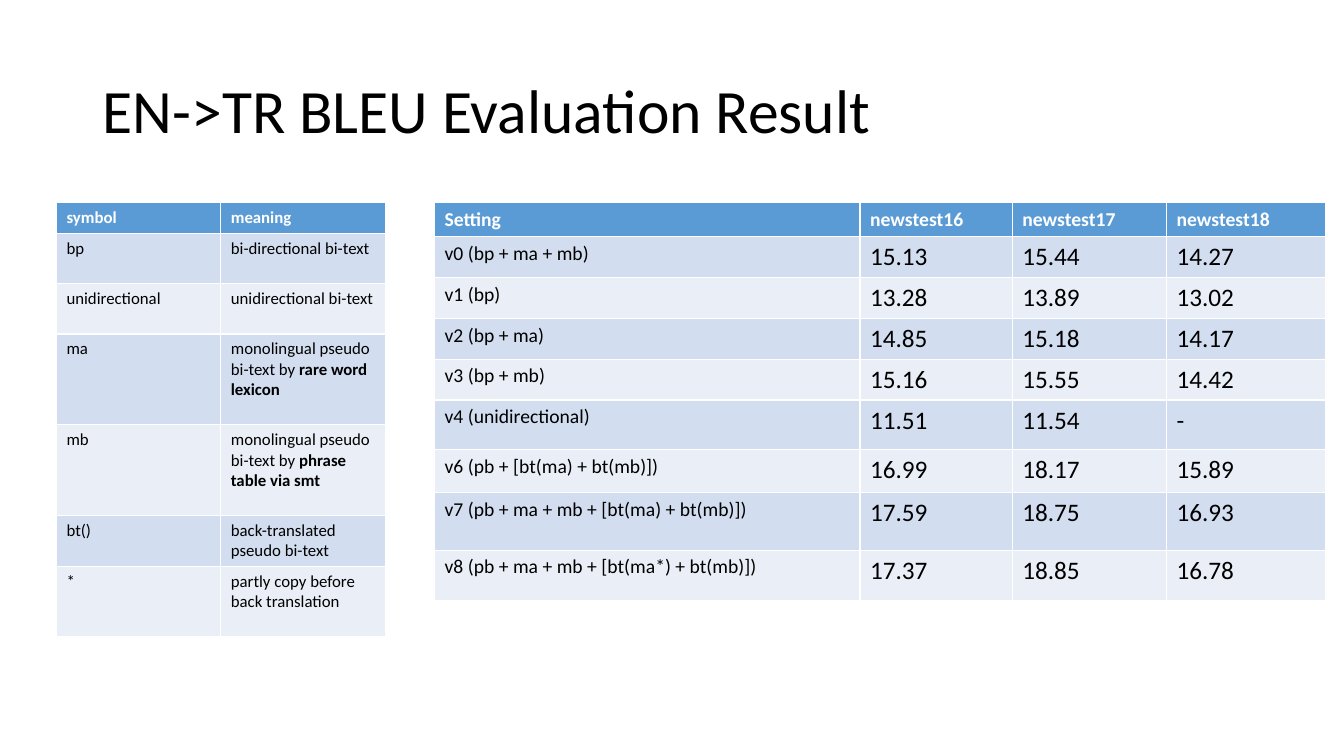
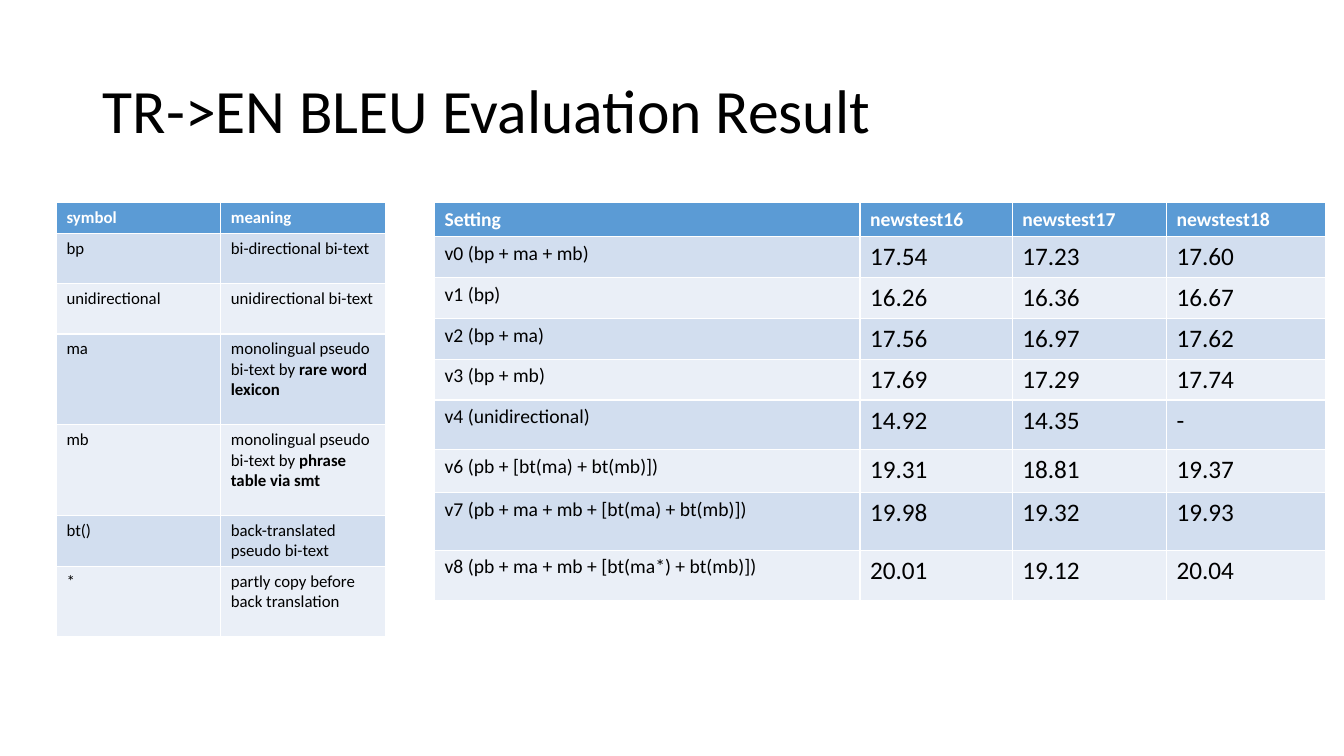
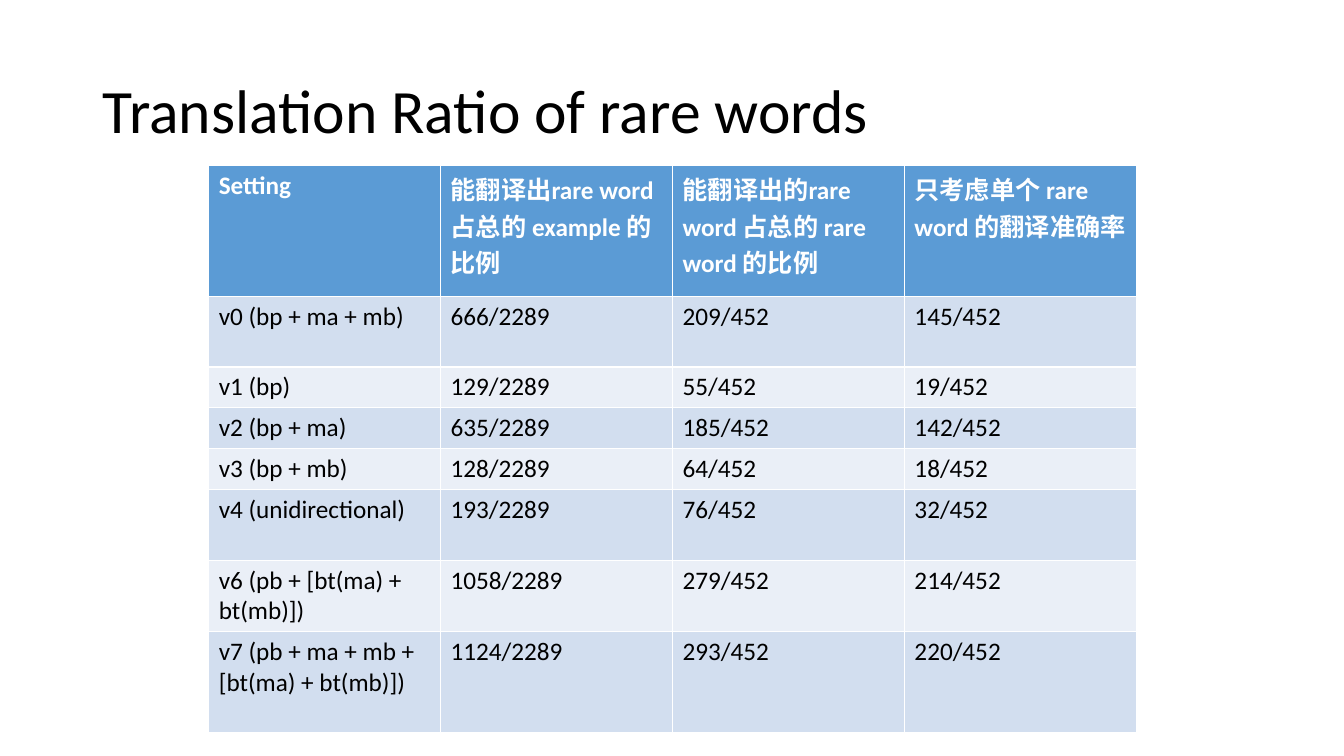
from pptx import Presentation
from pptx.dml.color import RGBColor as Rgb
from pptx.enum import text
from pptx.util import Inches, Pt

deck = Presentation()
deck.slide_width, deck.slide_height = Inches(13.33), Inches(7.5)
unit = deck.slide_height / 75  # side of one grid square

hues = {"head": "5B9BD5", "odd": "D2DEEF", "even": "EAEFF7",
        "light": "FFFFFF", "dark": "000000"}


def style(run, size, hue, bold=False):
    look = {"name": "Calibri", "size": Pt(size), "bold": bold}
    for key, value in look.items():
        setattr(run.font, key, value)
    run.font.color.rgb = Rgb.from_string(hues[hue])


def grid(slide, left, top, cols, tall, rows, sizes):
    """Banded table; sizes are for header, first column and the rest."""
    box = [round(n * unit) for n in (left, top, sum(cols), sum(tall))]
    table = slide.shapes.add_table(len(rows), len(cols), *box).table
    for col, wide in zip(table.columns, cols):
        col.width = round(wide * unit)
    for r, (line, row) in enumerate(zip(table.rows, rows)):
        line.height = round(tall[r] * unit)
        band = "head" if r == 0 else "odd" if r % 2 else "even"
        for c, words in enumerate(row):
            cell = table.cell(r, c)
            cell.fill.solid()
            cell.fill.fore_color.rgb = Rgb.from_string(hues[band])
            size = sizes[0 if r == 0 else 1 if c == 0 else 2]
            # Words after a bar are bold
            for n, part in enumerate(words.split("|")):
                run = cell.text_frame.paragraphs[0].add_run()
                run.text = part
                style(run, size, "dark" if r else "light", r == 0 or n == 1)


# Shared content
setups = ["v0 (bp + ma + mb)", "v1 (bp)", "v2 (bp + ma)", "v3 (bp + mb)",
          "v4 (unidirectional)", "v6 (pb + [bt(ma) + bt(mb)])",
          "v7 (pb + ma + mb + [bt(ma) + bt(mb)])",
          "v8 (pb + ma + mb + [bt(ma*) + bt(mb)])"]
tests = ["Setting", "newstest16", "newstest17", "newstest18"]
symbols = [
    ["symbol", "meaning"],
    ["bp", "bi-directional bi-text"],
    ["unidirectional", "unidirectional bi-text"],
    ["ma", "monolingual pseudo bi-text by |rare word lexicon"],
    ["mb", "monolingual pseudo bi-text by |phrase table via smt"],
    ["bt()", "back-translated pseudo bi-text"],
    ["*", "partly copy before back translation"],
]
ratios = ["Setting", "能翻译出rare word 占总的 example 的比例",
          "能翻译出的rare word 占总的 rare word 的比例",
          "只考虑单个 rare word 的翻译准确率"]

# One entry per slide: title, header, scores by setting
pages = [
    ("EN->TR BLEU Evaluation Result", tests,
     ["15.13 15.44 14.27", "13.28 13.89 13.02", "14.85 15.18 14.17",
      "15.16 15.55 14.42", "11.51 11.54 -", "16.99 18.17 15.89",
      "17.59 18.75 16.93", "17.37 18.85 16.78"]),
    ("TR->EN BLEU Evaluation Result", tests,
     ["17.54 17.23 17.60", "16.26 16.36 16.67", "17.56 16.97 17.62",
      "17.69 17.29 17.74", "14.92 14.35 -", "19.31 18.81 19.37",
      "19.98 19.32 19.93", "20.01 19.12 20.04"]),
    ("Translation Ratio of rare words", ratios,
     ["666/2289 209/452 145/452", "129/2289 55/452 19/452",
      "635/2289 185/452 142/452", "128/2289 64/452 18/452",
      "193/2289 76/452 32/452", "1058/2289 279/452 214/452",
      "1124/2289 293/452 220/452"]),
]

for name, head, scores in pages:
    slide = deck.slides.add_slide(deck.slide_layouts[5])

    # Title
    title = slide.shapes.title
    place = {"left": 9.2, "top": 4, "width": 115, "height": 14.5}
    for key, value in place.items():
        setattr(title, key, round(value * unit))
    frame = title.text_frame
    frame.auto_size = text.MSO_AUTO_SIZE.NONE
    frame.vertical_anchor = text.MSO_ANCHOR.MIDDLE
    para = frame.paragraphs[0]
    para.alignment, para.line_spacing = text.PP_ALIGN.LEFT, 0.9
    run = para.add_run()
    run.text = name
    style(run, 44, "dark")

    # Scores, with the key to the symbols beside the test sets
    rows = [head] + [[s, *v.split()] for s, v in zip(setups, scores)]
    if head is tests:
        grid(slide, 43.1, 20.1, [42.2, 15.1, 15.3, 15.8],
             [3, 3.8, 4, 4, 4, 4.9, 4.3, 5.7, 5], rows, (14, 14, 18))
        grid(slide, 5.6, 20.1, [16.3] * 2, [3, 5, 5, 9, 9, 5, 7],
             symbols, (12, 12, 12))
    else:
        grid(slide, 20.7, 16.4, [23] * 4, [13, 7, 4, 4, 4, 7, 7, 10],
             rows, (18, 18, 18))

deck.save("out.pptx")
